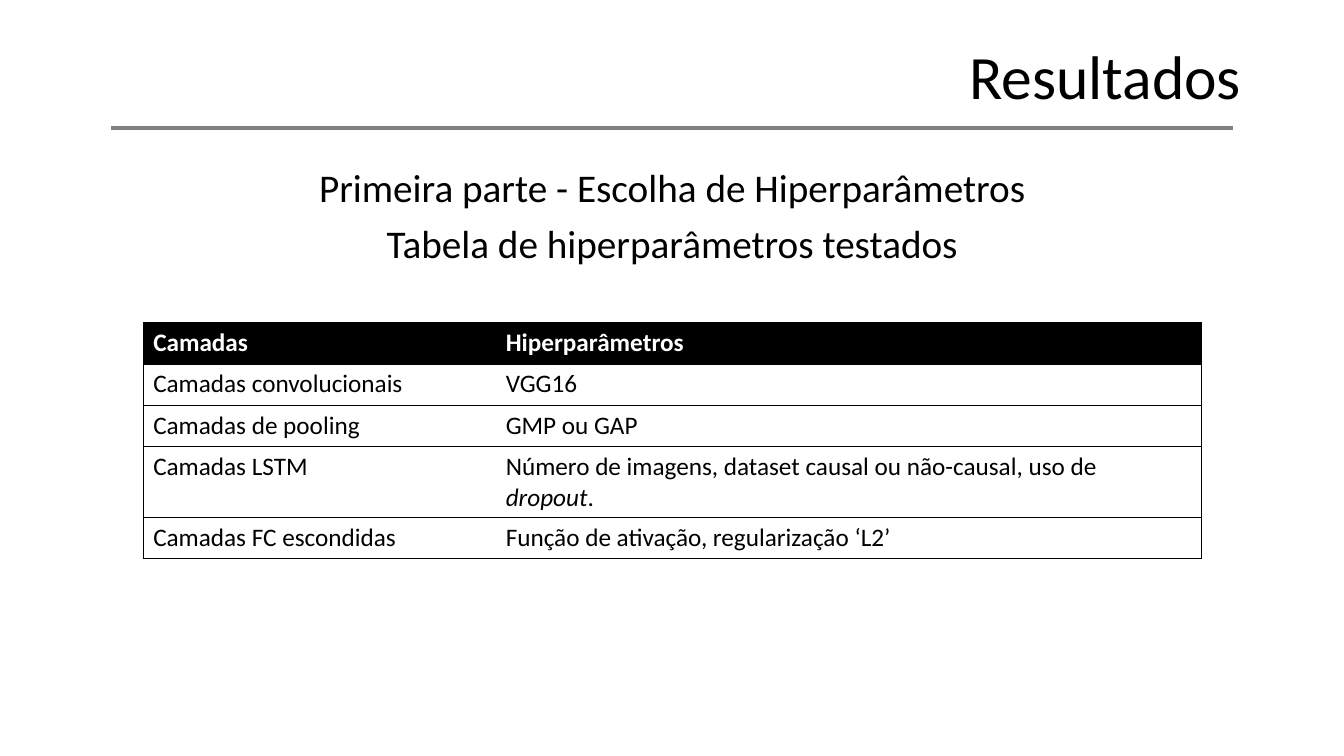
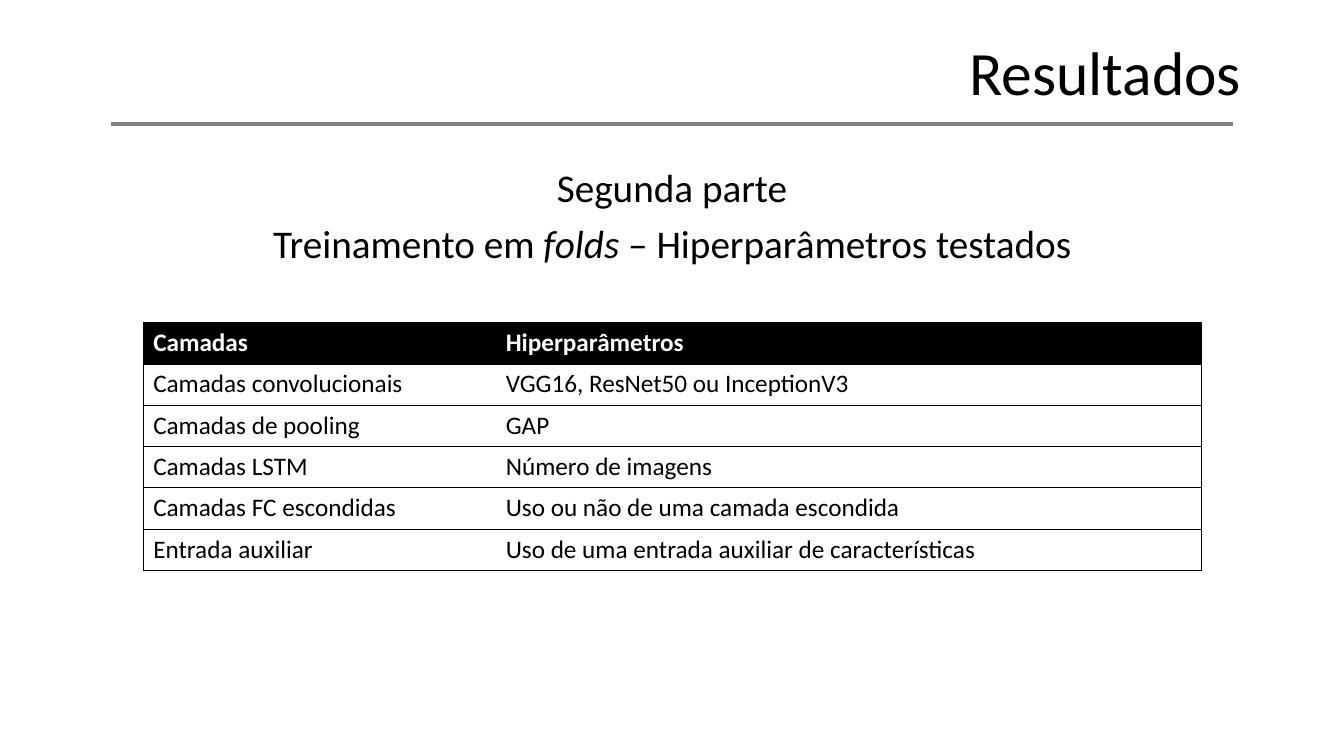
from lxml import etree
from pptx import Presentation
from pptx.dml.color import RGBColor
from pptx.enum.shapes import MSO_CONNECTOR
from pptx.enum.text import MSO_ANCHOR, PP_ALIGN
from pptx.oxml.ns import qn
from pptx.util import Inches, Pt

STRAIGHT = MSO_CONNECTOR.STRAIGHT
MIDDLE, TOP = MSO_ANCHOR.MIDDLE, MSO_ANCHOR.TOP
CENTER, LEFT, RIGHT = PP_ALIGN.CENTER, PP_ALIGN.LEFT, PP_ALIGN.RIGHT

FONT = "Calibri"
BLACK, WHITE, GRAY = "000000", "FFFFFF", "808080"

SLIDE_W, SLIDE_H = 13.33, 7.5
TEXT_MARGIN, RULE_MARGIN, TABLE_MARGIN = 0.92, 1.1, 1.42
TITLE_H = 0.97
HEADING_TOP, HEADING_H = 1.62, 1.4
TABLE_TOP, ROW_H = 3.2, 0.41
COLUMN_SHARES = (1 / 3, 2 / 3)
BORDER_PT = 0.5

TABLE_HEADER = ("Camadas", "Hiperparâmetros")

# Asterisks enclose italic words.
SLIDES = [
    {
        "title_top": 0.3,
        "headings": ["Primeira parte - Escolha de Hiperparâmetros",
                     "Tabela de hiperparâmetros testados"],
        "rows": [
            ("Camadas convolucionais", "VGG16"),
            ("Camadas de pooling", "GMP ou GAP"),
            ("Camadas LSTM", "Número de imagens, dataset causal ou "
                             "não-causal, uso de *dropout*."),
            ("Camadas FC escondidas",
             "Função de ativação, regularização ‘L2’"),
        ],
    },
    {
        "title_top": 0.26,
        "headings": ["Segunda parte",
                     "Treinamento em *folds* – Hiperparâmetros testados"],
        "rows": [
            ("Camadas convolucionais", "VGG16, ResNet50 ou InceptionV3"),
            ("Camadas de pooling", "GAP"),
            ("Camadas LSTM", "Número de imagens"),
            ("Camadas FC escondidas", "Uso ou não de uma camada escondida"),
            ("Entrada auxiliar",
             "Uso de uma entrada auxiliar de características"),
        ],
    },
]


def rgb(value):
    return RGBColor.from_string(value)


def write_paragraph(paragraph, text, size, color=BLACK, bold=False, align=LEFT):
    """Write text, setting the words between asterisks in italics."""
    paragraph.alignment = align
    font = paragraph.font
    font.name, font.size, font.bold = FONT, Pt(size), bold
    font.color.rgb = rgb(color)
    for index, part in enumerate(text.split("*")):
        run = paragraph.add_run()
        run.text = part
        if index % 2:
            run.font.italic = True


def add_text(slide, top, height, lines, size, align, anchor):
    box = slide.shapes.add_textbox(
        Inches(TEXT_MARGIN), Inches(top),
        Inches(SLIDE_W - 2 * TEXT_MARGIN), Inches(height))
    frame = box.text_frame
    frame.word_wrap = True
    frame.vertical_anchor = anchor
    for index, line in enumerate(lines):
        paragraph = frame.add_paragraph() if index else frame.paragraphs[0]
        paragraph.line_spacing = 0.9
        if index:
            paragraph.space_before = Pt(10)
        write_paragraph(paragraph, line, size, align=align)


def add_title(slide, top):
    """Add the right-aligned title and the rule beneath it."""
    add_text(slide, top, TITLE_H, ["Resultados"], 44, RIGHT, MIDDLE)
    rule_y = Inches(top + TITLE_H)
    rule = slide.shapes.add_connector(
        STRAIGHT, Inches(RULE_MARGIN), rule_y,
        Inches(SLIDE_W - RULE_MARGIN), rule_y)
    rule.line.color.rgb = rgb(GRAY)
    rule.line.width = Pt(2.25)
    etree.SubElement(rule.element.spPr, qn("a:effectLst"))


def set_borders(cell, visible):
    properties = cell._tc.get_or_add_tcPr()
    for side in "LRTB":
        line = etree.SubElement(properties, qn(f"a:ln{side}"),
                                w=str(Pt(BORDER_PT)))
        if side in visible:
            fill = etree.SubElement(line, qn("a:solidFill"))
            etree.SubElement(fill, qn("a:srgbClr"), val=BLACK)
        else:
            etree.SubElement(line, qn("a:noFill"))


def add_layer_table(slide, rows):
    width = SLIDE_W - 2 * TABLE_MARGIN
    table = slide.shapes.add_table(
        len(rows), len(COLUMN_SHARES), Inches(TABLE_MARGIN),
        Inches(TABLE_TOP), Inches(width), Inches(ROW_H * len(rows))).table
    table.horz_banding = False
    for column, share in zip(table.columns, COLUMN_SHARES):
        column.width = Inches(width * share)
    for row_index, row in enumerate(rows):
        is_header = row_index == 0
        table.rows[row_index].height = Inches(ROW_H)
        for column_index, text in enumerate(row):
            cell = table.cell(row_index, column_index)
            set_borders(cell, "TB" + "LR"[column_index])
            cell.fill.solid()
            cell.fill.fore_color.rgb = rgb(BLACK if is_header else WHITE)
            write_paragraph(cell.text_frame.paragraphs[0], text, 18,
                            WHITE if is_header else BLACK, is_header)


def main():
    deck = Presentation()
    deck.slide_width, deck.slide_height = Inches(SLIDE_W), Inches(SLIDE_H)
    blank = deck.slide_layouts[6]
    for content in SLIDES:
        slide = deck.slides.add_slide(blank)
        add_title(slide, content["title_top"])
        add_text(slide, HEADING_TOP, HEADING_H, content["headings"], 28,
                 CENTER, TOP)
        add_layer_table(slide, [TABLE_HEADER, *content["rows"]])
    deck.save("out.pptx")


if __name__ == "__main__":
    main()
